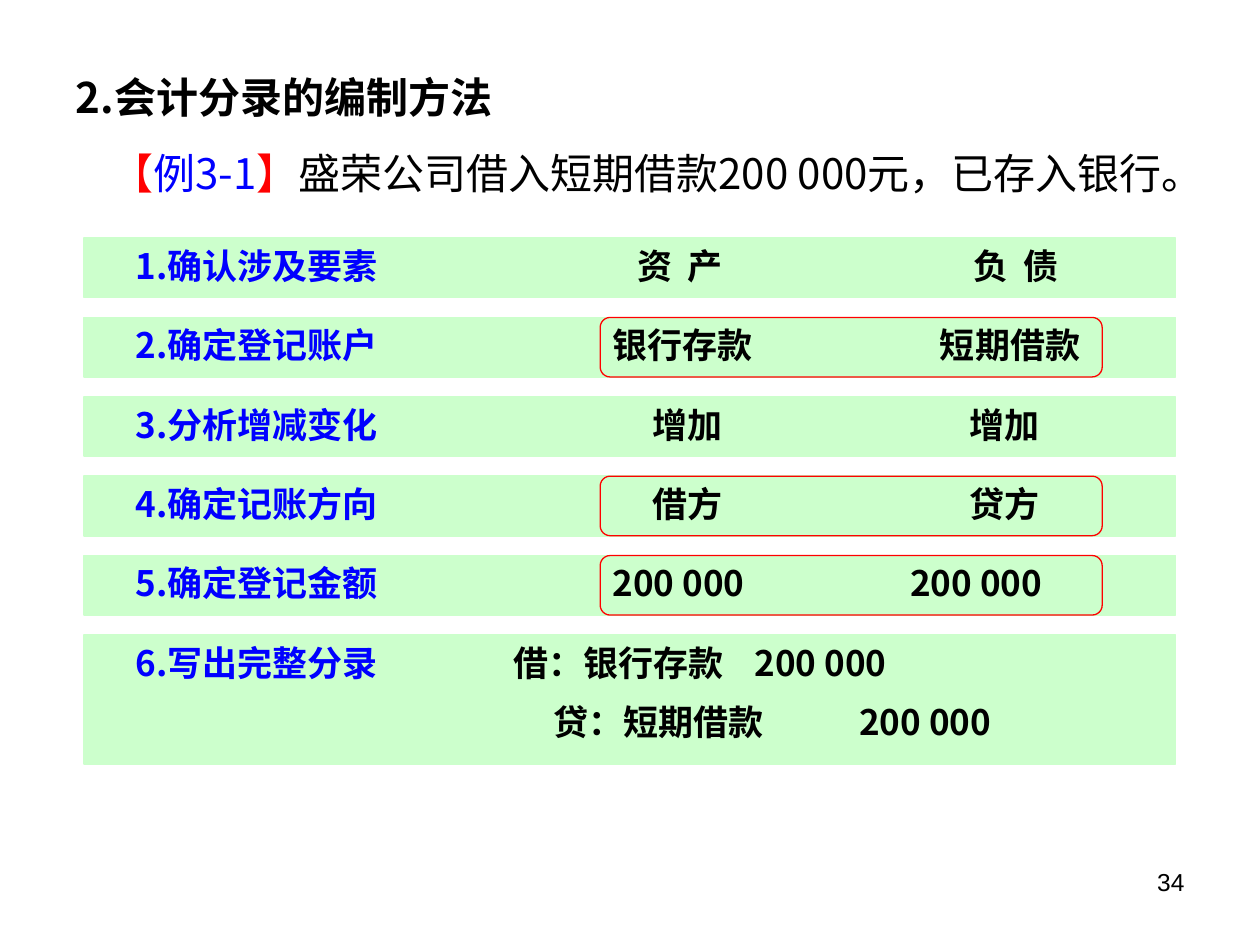
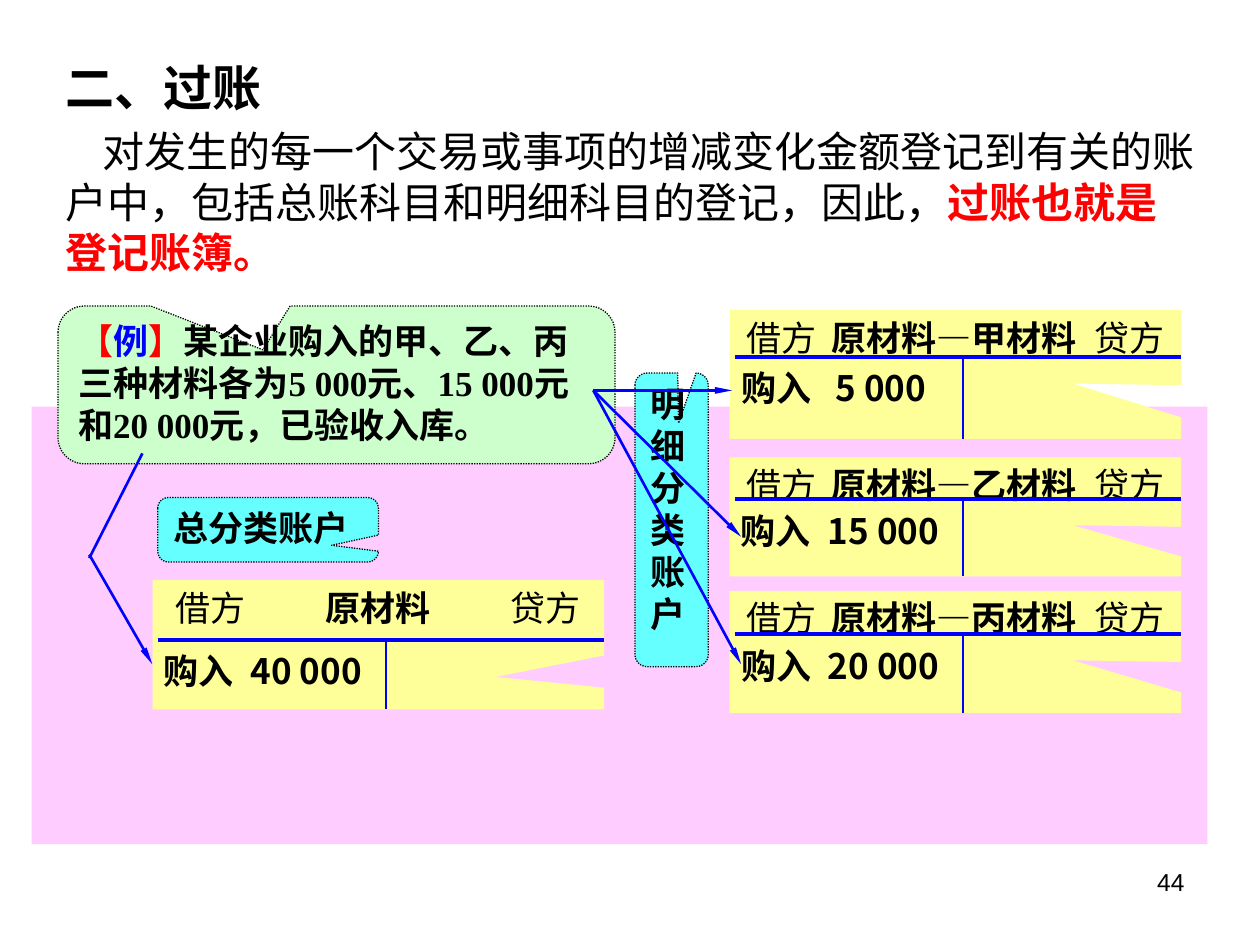
from lxml.etree import SubElement
from pptx import Presentation
from pptx.dml.color import RGBColor
from pptx.enum.dml import MSO_LINE
from pptx.enum.shapes import MSO_CONNECTOR, MSO_SHAPE
from pptx.enum.text import MSO_ANCHOR, MSO_AUTO_SIZE, PP_ALIGN
from pptx.oxml.ns import qn
from pptx.util import Cm, Pt

BLACK = RGBColor(0x00, 0x00, 0x00)
RED = RGBColor(0xFF, 0x00, 0x00)
BLUE = RGBColor(0x00, 0x00, 0xFF)
GREEN = RGBColor(0xCC, 0xFF, 0xCC)
PINK = RGBColor(0xFF, 0xCC, 0xFF)
YELLOW = RGBColor(0xFF, 0xFF, 0x99)
CYAN = RGBColor(0x66, 0xFF, 0xFF)

CJK = "Noto Sans CJK SC"
SERIF = "Times New Roman"
SANS = "Arial"

LINE_HEIGHT = 1.2
FIRST_INDENT = 0.74


def style_run(r, size=20, font=CJK, color=BLACK, bold=False):
    r.font.size = Pt(size)
    r.font.bold = bold
    r.font.color.rgb = color
    r.font.name = font
    SubElement(r._r.get_or_add_rPr(), qn("a:ea")).set("typeface", CJK)


def write(tf, runs, align=PP_ALIGN.LEFT, indent=None, tabs=(), size=20, **style):
    """Fill a frame with one paragraph; runs is a string or (text, overrides) pairs."""
    tf.word_wrap = True
    tf.auto_size = MSO_AUTO_SIZE.NONE
    tf.vertical_anchor = MSO_ANCHOR.TOP
    p = tf.paragraphs[0]
    p.alignment = align
    p.space_before = Pt(0)
    p.line_spacing = Pt(round(size * LINE_HEIGHT, 1))
    pPr = p._p.get_or_add_pPr()
    if indent is not None:
        pPr.set("marL", "0")
        pPr.set("indent", str(Cm(indent)))
    SubElement(pPr, qn("a:buNone"))
    if tabs:
        stops = SubElement(pPr, qn("a:tabLst"))
        for position in tabs:
            stop = SubElement(stops, qn("a:tab"))
            stop.set("pos", str(Cm(position)))
            stop.set("algn", "l")
    if isinstance(runs, str):
        runs = [(runs, {})]
    for text, overrides in runs:
        r = p.add_run()
        r.text = text
        style_run(r, **{"size": size, **style, **overrides})


def place(sp, left, top, width, height):
    sp.left, sp.top = Cm(left), Cm(top)
    sp.width, sp.height = Cm(width), Cm(height)


def add_text(s, box, runs, **fmt):
    sp = s.shapes.add_textbox(*map(Cm, box))
    write(sp.text_frame, runs, **fmt)


def add_shape(s, kind, box, fill=None, line=None, width=0.75, dash=None, adj=()):
    sp = s.shapes.add_shape(kind, *map(Cm, box))
    sp.shadow.inherit = False
    for i, value in enumerate(adj):
        sp.adjustments[i] = value
    if fill is None:
        sp.fill.background()
    else:
        sp.fill.solid()
        sp.fill.fore_color.rgb = fill
    if line is None:
        sp.line.fill.background()
    else:
        sp.line.color.rgb = line
        sp.line.width = Pt(width)
        if dash:
            sp.line.dash_style = dash
    return sp


def add_line(s, start, end, width, arrow=False):
    cx = s.shapes.add_connector(MSO_CONNECTOR.STRAIGHT, *map(Cm, (*start, *end)))
    cx.line.color.rgb = BLUE
    cx.line.width = Pt(width)
    if arrow:
        head = SubElement(cx.line._get_or_add_ln(), qn("a:tailEnd"))
        head.set("type", "triangle")
        head.set("w", "sm")
        head.set("len", "lg")
    SubElement(cx._element.spPr, qn("a:effectLst"))


def add_page(prs, number, title, title_size, title_box, body, body_box):
    """Add a slide with heading, indented lead paragraph and page number."""
    s = prs.slides.add_slide(prs.slide_layouts[1])
    heading, lead = s.shapes.title, s.placeholders[1]
    place(heading, *title_box)
    write(heading.text_frame, title, size=title_size, bold=True)
    place(lead, *body_box)
    write(lead.text_frame, body, size=24, indent=FIRST_INDENT)
    add_text(s, (18.21, 17.35, 5.92, 1.32), str(number),
             align=PP_ALIGN.RIGHT, size=14, font=SANS)
    return s


def add_step(s, box, label, entries, framed):
    """Green row: blue label, then (x offset, y offset, text, tabs) entries."""
    left, top, width, height = box
    row = add_shape(s, MSO_SHAPE.RECTANGLE, box, GREEN, GREEN, 1)
    write(row.text_frame, label, color=BLUE, bold=True)
    row.text_frame.margin_left = Cm(1.03)
    for x, y, text, tabs in entries:
        add_text(s, (left + x, top + y, width - x, 1.2), text, tabs=tabs, bold=True)
    if framed:
        add_shape(s, MSO_SHAPE.ROUNDED_RECTANGLE,
                  (left + 10.4, top, 10.12, height), line=RED)


def build_entry_method(prs):
    s = add_page(
        prs, 34, "2.会计分录的编制方法", 24, (1.27, 1.32, 23.29, 1.4),
        [("【", {"color": RED}), ("例3-1", {"color": BLUE}), ("】", {"color": RED}),
         ("盛荣公司借入短期借款200 000元，已存入银行。", {})],
        (1.25, 2.84, 24.1, 1.5))
    steps = [
        ("1.确认涉及要素", [(10.9, 0, "资\t产", [1.01]), (17.67, 0, "负\t债", [1.01])], False),
        ("2.确定登记账户", [(10.4, 0, "银行存款", ()), (17, 0, "短期借款", ())], True),
        ("3.分析增减变化", [(11.2, 0, "增加", ()), (17.6, 0, "增加", ())], False),
        ("4.确定记账方向", [(11.2, 0, "借方", ()), (17.6, 0, "贷方", ())], True),
        ("5.确定登记金额", [(10.4, 0, "200 000", ()), (16.4, 0, "200 000", ())], True),
        ("6.写出完整分录", [(8.4, 0, "借：银行存款\t200 000", [4.86]),
                      (9.2, 1.2, "贷：短期借款\t200 000", [6.17])], False),
    ]
    for i, (label, entries, framed) in enumerate(steps):
        height = 2.6 if i == len(steps) - 1 else 1.2
        add_step(s, (1.7, 4.8 + 1.6 * i, 22, height), label, entries, framed)


def add_t_account(s, box, rule, name, amount, name_tabs, indent, amount_tab=1.75, adj_y=0.07):
    """T account: headed yellow box, rule at the given depth, divider, debit amount."""
    left, top, width, height = box
    rule_y, middle = top + rule, left + 4.7
    head = add_shape(s, MSO_SHAPE.RECTANGULAR_CALLOUT, box, YELLOW, adj=(0.26, adj_y))
    write(head.text_frame,
          [("借方\t", {}), (f"{name}\t", {"bold": True}), ("贷方", {})],
          font=SERIF, tabs=name_tabs)
    head.text_frame.margin_left = Cm(indent)
    head.text_frame.margin_right = Cm(0)
    add_line(s, (left + 0.1, rule_y), (left + width, rule_y), 2.25)
    add_line(s, (middle, rule_y), (middle, top + height), 0.75)
    debit = add_shape(s, MSO_SHAPE.ROUNDED_RECTANGULAR_CALLOUT,
                      (left - 0.1, rule_y, 4.8, height - rule), adj=(0.01, -0.12, 0.17))
    write(debit.text_frame, f"购入\t{amount}", tabs=[amount_tab], bold=True)
    debit.text_frame.margin_right = Cm(0)


def add_note(s, box, fill, adj, runs):
    note = add_shape(s, MSO_SHAPE.ROUNDED_RECTANGULAR_CALLOUT, box, fill, BLACK,
                     dash=MSO_LINE.ROUND_DOT, adj=(*adj, 0.167))
    write(note.text_frame, runs, font=SERIF, bold=True)


def build_posting(prs):
    s = add_page(
        prs, 44, "二、过账", 28, (1.07, 1.04, 23.29, 1.4),
        [("对发生的每一个交易或事项的增减变化金额登记到有关的账户中，"
          "包括总账科目和明细科目的登记，因此，", {}),
         ("过账也就是登记账簿。", {"color": RED, "bold": True})],
        (1.07, 2.41, 23.32, 4.9))
    add_shape(s, MSO_SHAPE.RECTANGLE, (0.64, 8.2, 23.7, 8.82), PINK)

    details = [
        (6.25, 2.6, 0.94, "甲材料", "5 000", 1.9),
        (9.22, 2.4, 0.84, "乙材料", "15 000", 1.75),
        (11.91, 2.46, 0.87, "丙材料", "20 000", 1.75),
    ]
    for top, height, rule, material, amount, amount_tab in details:
        add_t_account(s, (14.71, top, 9.1, height), rule, f"原材料—{material}",
                      amount, [1.72, 7.02], 0.33, amount_tab)
    add_t_account(s, (3.08, 11.69, 9.1, 2.61), 1.21, "原材料", "40 000",
                  [3.03, 6.75], 0.46, adj_y=0.25)

    add_note(s, (3.18, 10.03, 4.45, 1.3), CYAN, (0.288, 0.241), "总分类账户")
    add_note(s, (12.8, 7.52, 1.48, 5.92), CYAN, (0.095, -0.329), "明细分类账户")
    add_note(s, (1.17, 6.17, 11.23, 3.18), GREEN, (-0.132, -0.222),
             [("【", {"color": RED}), ("例", {"color": BLUE}), ("】", {"color": RED}),
              ("某企业购入的甲、乙、丙三种材料各为5 000元、15 000元和20 000元，已验收入库。", {})])

    add_line(s, (1.8, 11.18), (3.07, 13.39), 1.5, arrow=True)
    add_line(s, (1.8, 11.25), (2.87, 9.14), 1.5)
    for target in [(14.76, 7.87), (14.94, 10.82), (14.94, 13.39)]:
        add_line(s, (11.96, 7.87), target, 1.5, arrow=True)


def main():
    prs = Presentation()
    prs.slide_width, prs.slide_height = Cm(25.4), Cm(19.05)
    build_entry_method(prs)
    build_posting(prs)
    prs.save("out.pptx")


if __name__ == "__main__":
    main()
